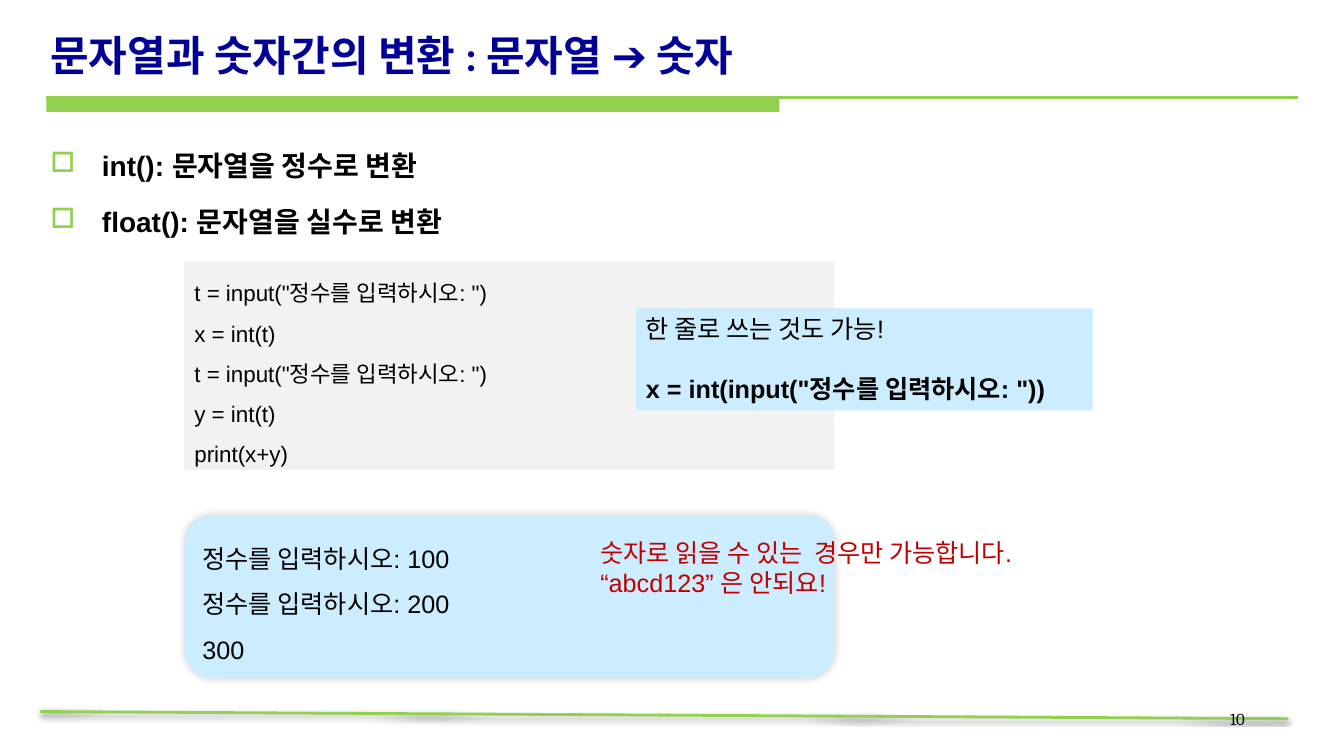
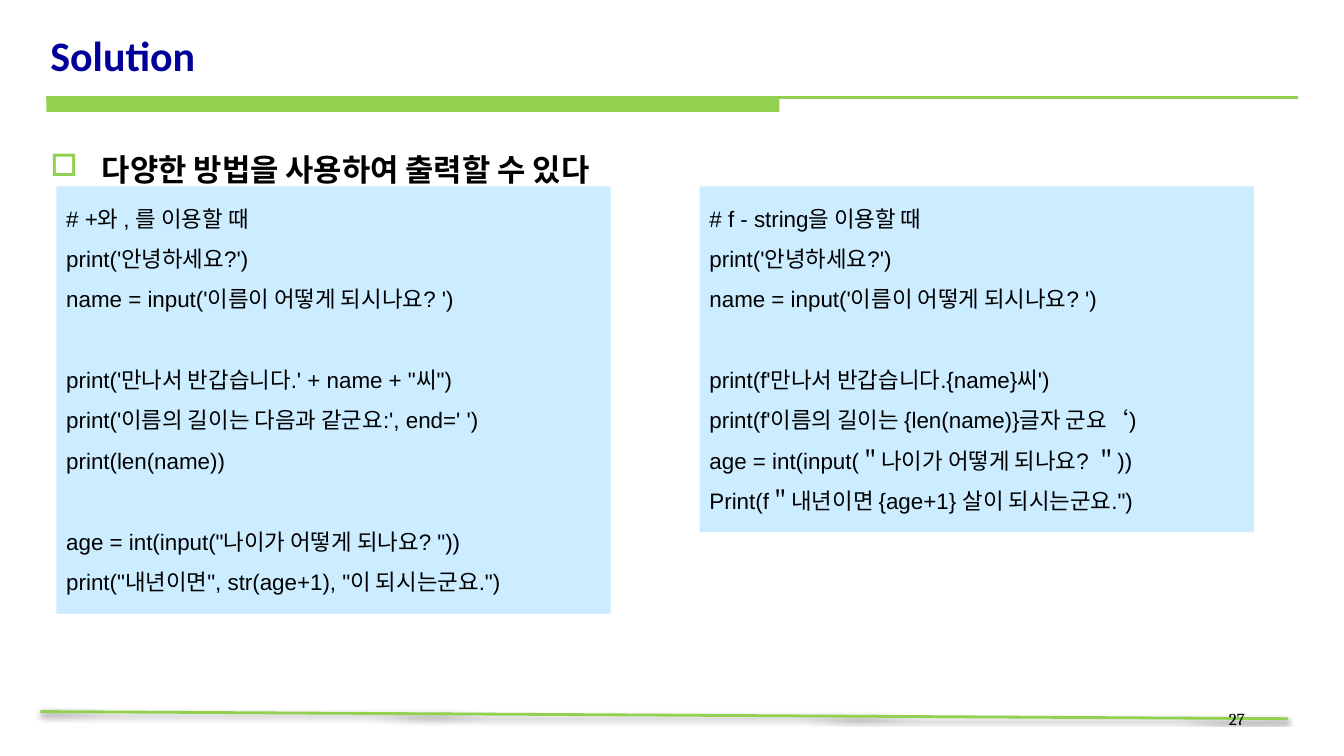
from lxml import etree
from pptx import Presentation
from pptx.dml.color import RGBColor
from pptx.enum.shapes import MSO_CONNECTOR, MSO_SHAPE
from pptx.enum.text import MSO_ANCHOR, PP_ALIGN
from pptx.oxml.ns import qn
from pptx.util import Cm, Pt

RECT = MSO_SHAPE.RECTANGLE
ROUNDED = MSO_SHAPE.FLOWCHART_ALTERNATE_PROCESS
STRAIGHT = MSO_CONNECTOR.STRAIGHT
TOP, BOTTOM = MSO_ANCHOR.TOP, MSO_ANCHOR.BOTTOM
LEFT, RIGHT = PP_ALIGN.LEFT, PP_ALIGN.RIGHT

GREEN, NAVY, BLACK, RED = "92D050", "000099", "000000", "C00000"
GREY, SKY = "F2F2F2", "CCECFF"


def rgb(color):
    return RGBColor.from_string(color)


def sub(parent, tag, **attrs):
    return etree.SubElement(parent, qn(tag), {k: str(v) for k, v in attrs.items()})


def set_shadow(sp, shadow=None):
    """Shadow as (opacity %, blur pt, distance pt, angle); None removes it."""
    effects = sub(sp.element.spPr, "a:effectLst")
    if shadow:
        opacity, blur, dist, angle = shadow
        outer = sub(effects, "a:outerShdw", blurRad=Pt(blur), dist=Pt(dist),
                    dir=angle * 60000, algn="ctr", rotWithShape=0)
        sub(sub(outer, "a:srgbClr", val=BLACK), "a:alpha", val=opacity * 1000)


def add_text(tf, text, size=16, color=BLACK, font="Arial", bold=False,
             align=LEFT, spacing=1.0, before=0):
    p = tf.paragraphs[0] if not tf.paragraphs[0].runs else tf.add_paragraph()
    p.alignment, p.line_spacing, p.space_before = align, spacing, Pt(before)
    r = p.add_run()
    r.text = text
    r.font.name, r.font.size, r.font.bold = font, Pt(size), bold
    r.font.color.rgb = rgb(color)
    return p


class Deck:
    left, width = 1.02, 31.7

    def __init__(self):
        self.prs = Presentation()
        self.prs.slide_width, self.prs.slide_height = Cm(33.87), Cm(19.05)
        self.s = None

    def new_slide(self, title, number):
        self.s = self.prs.slides.add_slide(self.prs.slide_layouts[6])
        # Footer line and title band
        self.line(self.left, 17.93, 32.46, 18.11, 2, shadow=(38, 3.1, 1.6, 90))
        self.box(1.17, 2.46, 18.47, 0.36, GREEN)
        self.line(1.17, 2.46, 32.72, 2.46, 2.25)
        # Title and slide number
        tf = self.text_box(self.left, 0.23, self.width, 1.9, anchor=BOTTOM)
        add_text(tf, title, size=30, color=NAVY, font="Calibri", bold=True)
        tf = self.text_box(24.28, 17.73, 7.34, 1.32)
        add_text(tf, number, size=12, font="Cambria", align=RIGHT)

    def line(self, x1, y1, x2, y2, width, shadow=None):
        line = self.s.shapes.add_connector(STRAIGHT, Cm(x1), Cm(y1), Cm(x2), Cm(y2))
        line.line.color.rgb = rgb(GREEN)
        line.line.width = Pt(width)
        set_shadow(line, shadow)

    def text_box(self, x, y, w, h, anchor=TOP):
        tf = self.s.shapes.add_textbox(Cm(x), Cm(y), Cm(w), Cm(h)).text_frame
        tf.word_wrap, tf.vertical_anchor = True, anchor
        return tf

    def box(self, x, y, w, h, fill, kind=RECT, shadow=None):
        sp = self.s.shapes.add_shape(kind, Cm(x), Cm(y), Cm(w), Cm(h))
        sp.fill.solid()
        sp.fill.fore_color.rgb = rgb(fill)
        sp.line.fill.background()
        set_shadow(sp, shadow)
        tf = sp.text_frame
        tf.word_wrap, tf.vertical_anchor = True, TOP
        return tf

    def bullets(self, lines, size):
        tf = self.text_box(self.left, 3.2, self.width, 14.25)
        for text in lines:
            p = add_text(tf, text, size=size, bold=True, spacing=1.5, before=size * 0.2)
            pPr = p._p.get_or_add_pPr()
            pPr.set("marL", str(Cm(1.3)))
            pPr.set("indent", str(-Cm(1.3)))
            sub(sub(pPr, "a:buClr"), "a:srgbClr", val=GREEN)
            sub(pPr, "a:buChar", char="□")

    def code(self, x, y, w, h, fill, groups, size=16, **look):
        """Groups of code lines, one line's height apart."""
        tf = self.box(x, y, w, h, fill, **look)
        for g, group in enumerate(groups):
            for i, text in enumerate(group):
                add_text(tf, text, size=size, spacing=1.5,
                         before=29 if g and not i else 0)


def conversion_slide(deck):
    deck.new_slide("문자열과 숫자간의 변환 : 문자열 ➔ 숫자", "10")
    deck.bullets(["int(): 문자열을 정수로 변환", "float(): 문자열을 실수로 변환"], 20)

    # Program and its output
    x, w = 4.65, 16.38
    read = 't = input("정수를 입력하시오: ")'
    deck.code(x, 6.58, w, 5.26, GREY,
              [[read, "x = int(t)", read, "y = int(t)", "print(x+y)"]])
    deck.code(x, 12.98, w, 4.11, SKY,
              [["정수를 입력하시오: 100", "정수를 입력하시오: 200", "300"]],
              size=18, kind=ROUNDED, shadow=(20, 6, 0, 315))

    # Warning
    tf = deck.text_box(14.88, 13.41, 12.27, 1.8)
    for text in ("숫자로 읽을 수 있는  경우만 가능합니다.", "“abcd123” 은 안되요!"):
        add_text(tf, text, size=18, color=RED)

    # One-line variant
    tf = deck.box(16.03, 7.77, 11.51, 2.57, SKY)
    add_text(tf, "한 줄로 쓰는 것도 가능!", size=18)
    add_text(tf, 'x = int(input("정수를 입력하시오: "))', size=18, bold=True, before=21)


def solution_slide(deck):
    deck.new_slide("Solution", "27")
    deck.bullets(["다양한 방법을 사용하여 출력할 수 있다"], 22)

    # Two ways to print, side by side
    y, w = 4.7, 13.97
    greeting = ["print('안녕하세요?')", "name = input('이름이 어떻게 되시나요? ')"]
    deck.code(1.42, y, w, 10.77, SKY, [
        ["# +와 , 를 이용할 때", *greeting],
        ["print('만나서 반갑습니다.' + name + \"씨\")",
         "print('이름의 길이는 다음과 같군요:', end=' ')",
         "print(len(name))"],
        ['age = int(input("나이가 어떻게 되나요? "))',
         'print("내년이면", str(age+1), "이 되시는군요.")'],
    ])
    deck.code(17.63, y, w, 8.71, SKY, [
        ["# f - string을 이용할 때", *greeting],
        ["print(f'만나서 반갑습니다.{name}씨')",
         "print(f'이름의 길이는 {len(name)}글자 군요‘)",
         "age = int(input(＂나이가 어떻게 되나요? ＂))",
         'Print(f＂내년이면 {age+1} 살이 되시는군요.")'],
    ])


def main():
    deck = Deck()
    conversion_slide(deck)
    solution_slide(deck)
    deck.prs.save("out.pptx")


if __name__ == "__main__":
    main()
